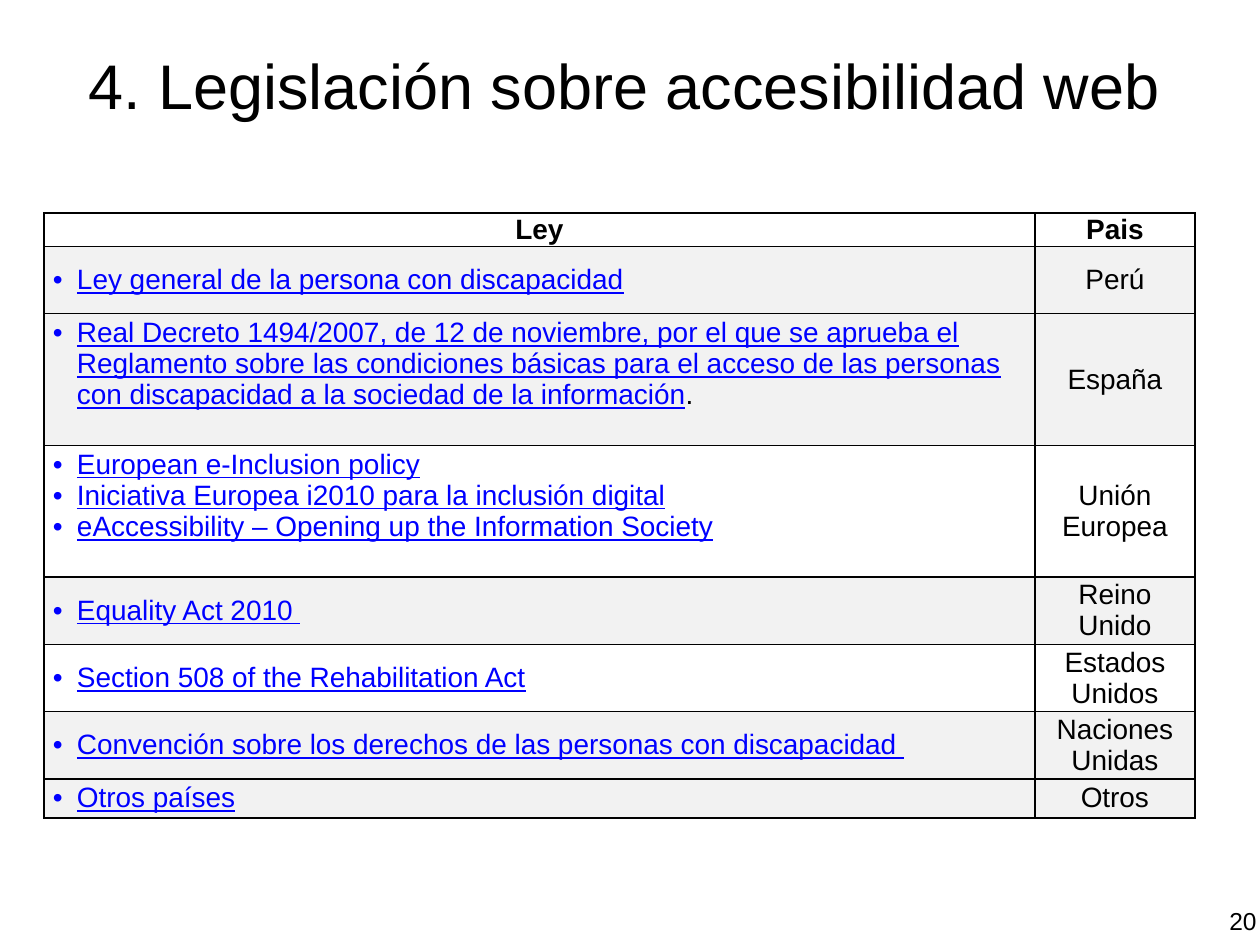
from pptx import Presentation
from pptx.dml.color import RGBColor
from pptx.enum.text import MSO_ANCHOR, MSO_AUTO_SIZE, PP_ALIGN
from pptx.oxml.ns import qn
from pptx.util import Pt
from lxml.etree import SubElement

SCALE = 914400 // 126
FONT = "Arial"
COLORS = {"ink": "000000", "link": "0000FF", "band": "F2F2F2"}


def px(n):
    return round(n * SCALE)


def write(para, text, size=16, color="ink", bold=False, line=False, align=None):
    run = para.add_run()
    run.text = text
    font = run.font
    font.name, font.size = FONT, Pt(size)
    font.bold, font.underline = bold, line
    font.color.rgb = RGBColor.from_string(COLORS[color])
    if align is not None:
        para.alignment = align


def bullet(para):
    props = para._p.get_or_add_pPr()
    props.set("marL", str(px(24)))
    props.set("indent", str(px(-24)))
    SubElement(props, qn("a:buFont"), typeface=FONT)
    SubElement(props, qn("a:buChar"), char="•")


def border(cell):
    props = cell._tc.get_or_add_tcPr()
    for i, side in enumerate("LRTB"):
        edge = SubElement(props, qn("a:ln" + side), w=str(Pt(1)))
        fill = SubElement(edge, qn("a:solidFill"))
        SubElement(fill, qn("a:srgbClr"), val=COLORS["ink"])
        props.insert(i, edge)


class Deck:
    def __init__(self, wide, high):
        self.file = Presentation()
        self.file.slide_width, self.file.slide_height = px(wide), px(high)
        self.slide = self.file.slides.add_slide(self.file.slide_layouts[5])

    def title(self, text, box):
        shape = self.slide.shapes.title
        shape.left, shape.top, shape.width, shape.height = map(px, box)
        frame = shape.text_frame
        frame.auto_size = MSO_AUTO_SIZE.NONE
        frame.vertical_anchor = MSO_ANCHOR.MIDDLE
        write(frame.paragraphs[0], text, size=36, align=PP_ALIGN.CENTER)

    def number(self, text, box):
        frame = self.slide.shapes.add_textbox(*map(px, box)).text_frame
        frame.word_wrap = True
        frame.vertical_anchor = MSO_ANCHOR.MIDDLE
        write(frame.paragraphs[0], text, size=14, align=PP_ALIGN.RIGHT)

    def cell(self, cell, band, foot=0):
        cell.margin_left = cell.margin_right = px(9)
        cell.margin_top, cell.margin_bottom = 0, px(foot)
        cell.vertical_anchor = MSO_ANCHOR.MIDDLE
        if band:
            cell.fill.solid()
            cell.fill.fore_color.rgb = RGBColor.from_string(COLORS["band"])
        else:
            cell.fill.background()
        border(cell)

    def paras(self, cell, lines):
        frame = cell.text_frame
        for i, text in enumerate(lines):
            yield (frame.add_paragraph() if i else frame.paragraphs[0]), text

    def table(self, left, top, widths, head, rows):
        high = [31] + [row[0] for row in rows]
        grid = self.slide.shapes.add_table(
            len(high), len(widths), px(left), px(top), px(sum(widths)), px(sum(high))
        ).table
        for col, wide in zip(grid.columns, widths):
            col.width = px(wide)
        for row, tall in zip(grid.rows, high):
            row.height = px(tall)
        for cell, text in zip(grid.rows[0].cells, head):
            self.cell(cell, False)
            write(cell.text_frame.paragraphs[0], text, bold=True, align=PP_ALIGN.CENTER)
        for i, (_, band, foot, laws, end, land) in enumerate(rows, 1):
            law, place = grid.rows[i].cells
            self.cell(law, band, foot)
            self.cell(place, band)
            for para, text in self.paras(law, laws):
                bullet(para)
                write(para, text, color="link", line=True)
            if end:
                write(para, end)
            for para, text in self.paras(place, land):
                write(para, text, align=PP_ALIGN.CENTER)


LAWS = [
    (67, True, 0, ["Ley general de la persona con discapacidad"], "", ["Perú"]),
    (129, True, 31, [
        "Real Decreto 1494/2007, de 12 de noviembre, por el que se aprueba el "
        "Reglamento sobre las condiciones básicas para el acceso de las personas "
        "con discapacidad a la sociedad de la información"], ".", ["España"]),
    (124, False, 31, [
        "European e-Inclusion policy",
        "Iniciativa Europea i2010 para la inclusión digital",
        "eAccessibility – Opening up the Information Society"], "", ["Unión Europea"]),
    (63, True, 0, ["Equality Act 2010 "], "", ["Reino Unido"]),
    (62, False, 0, ["Section 508 of the Rehabilitation Act"], "", ["Estados Unidos"]),
    (62, True, 0, ["Convención sobre los derechos de las personas con discapacidad "],
     "", ["Naciones", "Unidas"]),
    (39, True, 0, ["Otros países"], "", ["Otros"]),
]

deck = Deck(1260, 945)
deck.title("4. Legislación sobre accesibilidad web", (57, 0, 1134, 168))
deck.number("20", (975, 896, 294, 50))
deck.table(44, 213, (991, 160), ("Ley", "Pais"), LAWS)
deck.file.save("out.pptx")
